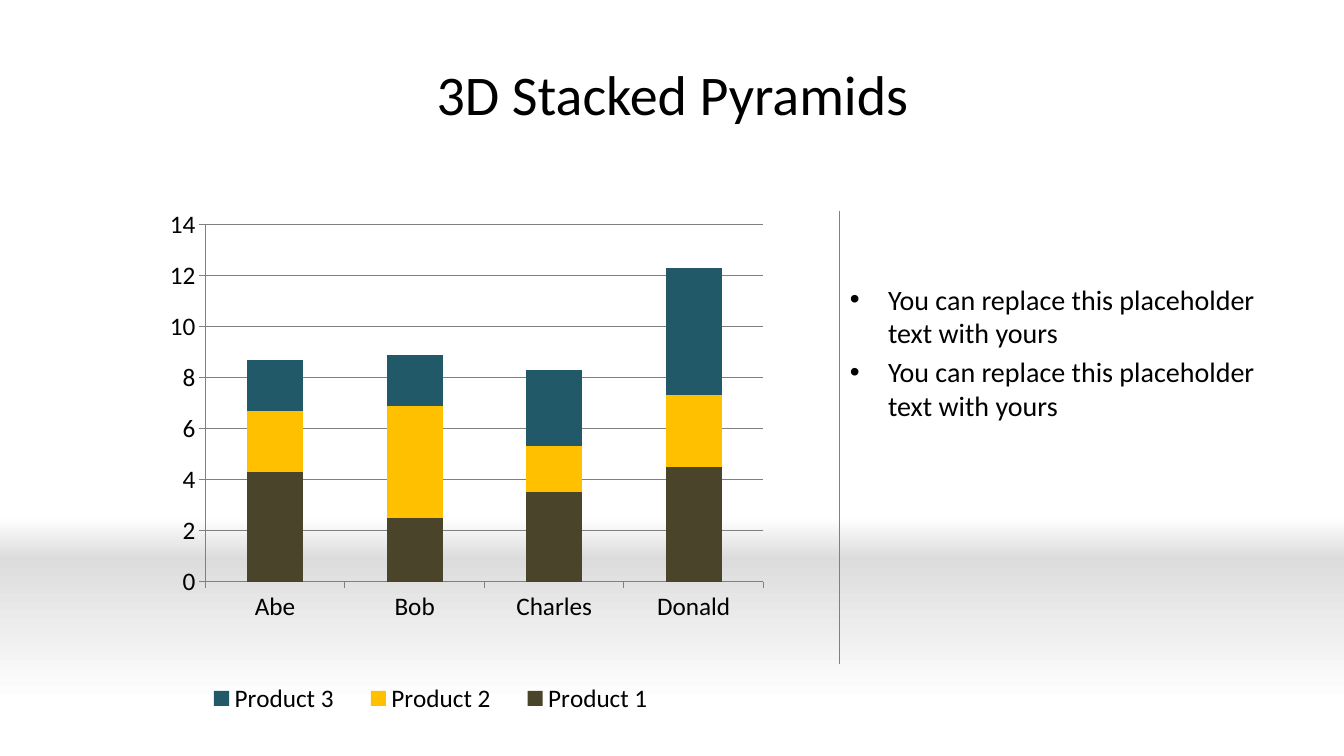
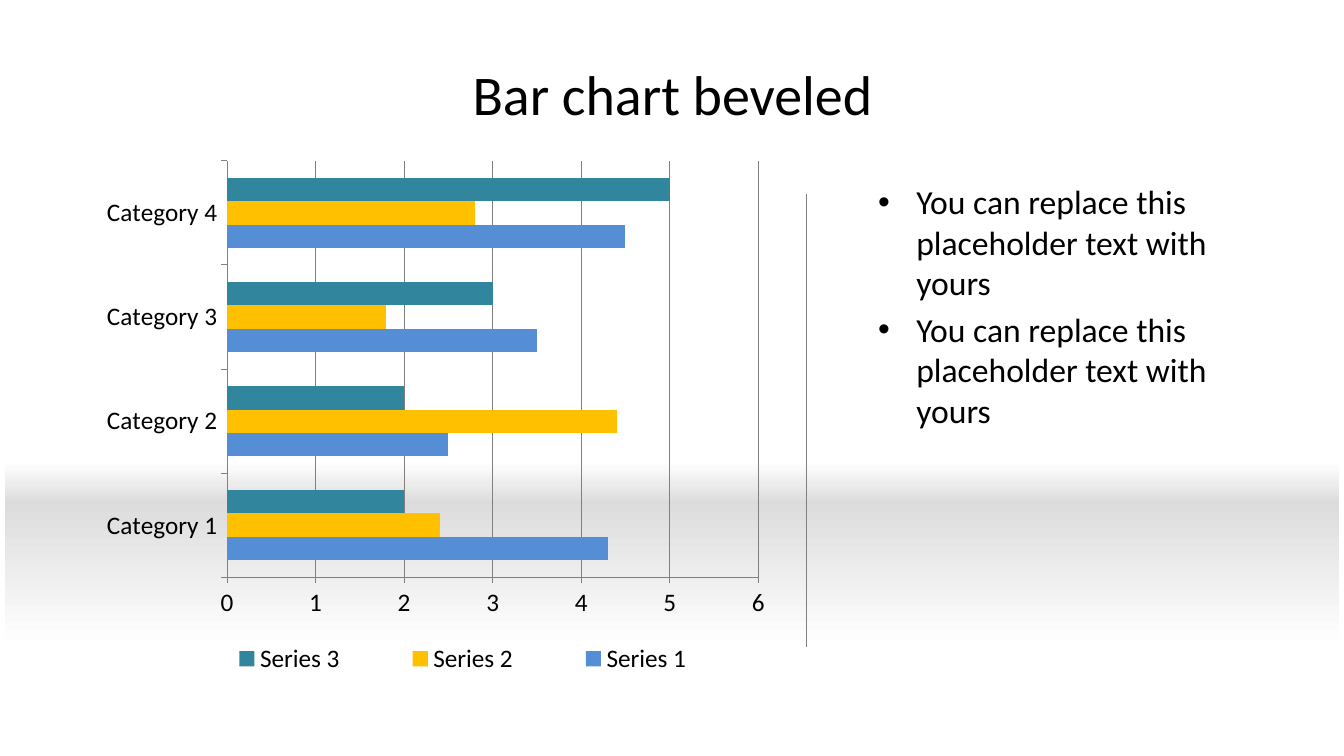
from lxml import etree
from pptx import Presentation
from pptx.chart.data import CategoryChartData
from pptx.dml.color import RGBColor
from pptx.enum import chart as charts, shapes, text
from pptx.oxml import ns
from pptx.util import Inches, Pt

FONT = "Calibri"
BLACK = RGBColor(0x00, 0x00, 0x00)
WHITE = RGBColor(0xFF, 0xFF, 0xFF)
GRAY = RGBColor(0x80, 0x80, 0x80)
FLOOR_GRAY = RGBColor(0xDD, 0xDD, 0xDD)
HORIZON_GRAY = RGBColor(0xDB, 0xDB, 0xDB)
OLIVE = RGBColor(0x4A, 0x45, 0x2A)
GOLD = RGBColor(0xFF, 0xC0, 0x00)
DARK_TEAL = RGBColor(0x21, 0x59, 0x68)
BLUE = RGBColor(0x55, 0x8E, 0xD5)
TEAL = RGBColor(0x31, 0x85, 0x9C)

VALUES = [(4.3, 2.5, 3.5, 4.5), (2.4, 4.4, 1.8, 2.8), (2, 2, 3, 5)]
BULLETS = ["You can replace this placeholder text with yours"] * 2

# Boxes are left, top, width, height in inches; layouts are fractions of the chart.
SLIDES = [
    dict(title="3D Stacked Pyramids", band=(0, 5.13, 13.33),
         bullet_box=(8.33, 2.75, 4.33, 4.2), bullet_size=20, divider=(8.33, 2.09),
         chart_type=charts.XL_CHART_TYPE.COLUMN_STACKED, overlap=100,
         chart_box=(1.17, 2.02, 6.67, 5.14),
         plot=(0.13, 0.04, 0.83, 0.69), legend=(0.1, 0.91, 0.73, 0.09),
         categories=["Abe", "Bob", "Charles", "Donald"],
         series="Product", colors=[OLIVE, GOLD, DARK_TEAL]),
    dict(title="Bar chart beveled", band=(0.05, 4.58, 13.23),
         bullet_box=(8.61, 1.75, 4.05, 4.83), bullet_size=24, divider=(8, 1.92),
         chart_type=charts.XL_CHART_TYPE.BAR_CLUSTERED, overlap=0,
         chart_box=(0.62, 1.43, 7.42, 5.58),
         plot=(0.22, 0.03, 0.71, 0.74), legend=(0.15, 0.87, 0.77, 0.09),
         categories=[f"Category {number}" for number in range(1, 5)],
         series="Series", colors=[BLUE, GOLD, TEAL]),
]


def set_layout(parent, successors, box, inner=False):
    """Place a plot area or legend by hand, before the given sibling tags."""
    for old in parent.findall(ns.qn("c:layout")):
        parent.remove(old)
    layout = etree.Element(ns.qn("c:layout"))
    manual = etree.SubElement(layout, ns.qn("c:manualLayout"))
    settings = [("layoutTarget", "inner")] if inner else []
    settings += [("xMode", "edge"), ("yMode", "edge")]
    settings += zip("xywh", box)
    for tag, value in settings:
        etree.SubElement(manual, ns.qn(f"c:{tag}")).set("val", str(value))
    following = [child for child in parent
                 if child.tag in [ns.qn(f"c:{tag}") for tag in successors]]
    if following:
        following[0].addprevious(layout)
    else:
        parent.append(layout)


def add_text(slide, box, lines, size):
    """Add a wrapping text box and return its frame."""
    frame = slide.shapes.add_textbox(*map(Inches, box)).text_frame
    frame.word_wrap = True
    frame.text = "\n".join(lines)
    for paragraph in frame.paragraphs:
        if len(lines) > 1:
            properties = paragraph._p.get_or_add_pPr()
            properties.set("marL", str(Inches(0.38)))
            properties.set("indent", str(Inches(-0.38)))
            etree.SubElement(properties, ns.qn("a:buFont")).set("typeface", "Arial")
            etree.SubElement(properties, ns.qn("a:buChar")).set("char", "•")
        paragraph.font.name = FONT
        paragraph.font.size = Pt(size)
        paragraph.font.color.rgb = BLACK
    for paragraph in frame.paragraphs[1:]:
        paragraph.space_before = Pt(size * 0.2)
    return frame


presentation = Presentation()
presentation.slide_width = Inches(13.33)
presentation.slide_height = Inches(7.5)

for content in SLIDES:
    slide = presentation.slides.add_slide(presentation.slide_layouts[6])

    # Floor fading downwards, horizon fading upwards
    left, top, width = content["band"]
    for offset, height, color, angle in [(0.42, 1.42, FLOOR_GRAY, 270),
                                         (0, 0.43, HORIZON_GRAY, 90)]:
        band = slide.shapes.add_shape(
            shapes.MSO_SHAPE.RECTANGLE, Inches(left), Inches(top + offset),
            Inches(width), Inches(height))
        band.shadow.inherit = False
        band.line.fill.background()
        band.fill.gradient()
        band.fill.gradient_angle = angle
        for stop, stop_color in zip(band.fill.gradient_stops, (color, WHITE)):
            stop.color.rgb = stop_color

    title = add_text(slide, (0.67, 0.3, 12, 1.25), [content["title"]], 40)
    title.vertical_anchor = text.MSO_ANCHOR.MIDDLE
    title.paragraphs[0].alignment = text.PP_ALIGN.CENTER
    add_text(slide, content["bullet_box"], BULLETS, content["bullet_size"])

    data = CategoryChartData()
    data.categories = content["categories"]
    for number, values in enumerate(VALUES, 1):
        data.add_series(f"{content['series']} {number}", values)
    chart = slide.shapes.add_chart(
        content["chart_type"], *map(Inches, content["chart_box"]), data).chart
    chart.has_title = False
    chart.font.name = FONT
    chart.font.size = Pt(18)
    chart.font.color.rgb = BLACK

    plot = chart.plots[0]
    plot.gap_width = 150
    plot.overlap = content["overlap"]
    plot.vary_by_categories = False
    for series, color in zip(plot.series, content["colors"]):
        series.format.fill.solid()
        series.format.fill.fore_color.rgb = color

    chart.value_axis.has_major_gridlines = True
    for line_format in (chart.category_axis.format, chart.value_axis.format,
                        chart.value_axis.major_gridlines.format):
        line_format.line.color.rgb = GRAY
        line_format.line.width = Pt(0.75)
    for axis in (chart.category_axis, chart.value_axis):
        axis.major_tick_mark = charts.XL_TICK_MARK.OUTSIDE

    chart.has_legend = True
    chart.legend.position = charts.XL_LEGEND_POSITION.RIGHT
    chart.legend.include_in_layout = False
    set_layout(chart.legend._element, ["overlay", "spPr", "txPr"], content["legend"])
    set_layout(plot._element.getparent(), ["barChart"], content["plot"], inner=True)

    x, y = content["divider"]
    divider = slide.shapes.add_connector(
        shapes.MSO_CONNECTOR.STRAIGHT, Inches(x), Inches(y), Inches(x), Inches(y + 4.5))
    divider.line.color.rgb = GRAY
    divider.line.width = Pt(0.75)
    etree.SubElement(divider._element.spPr, ns.qn("a:effectLst"))

presentation.save("out.pptx")
